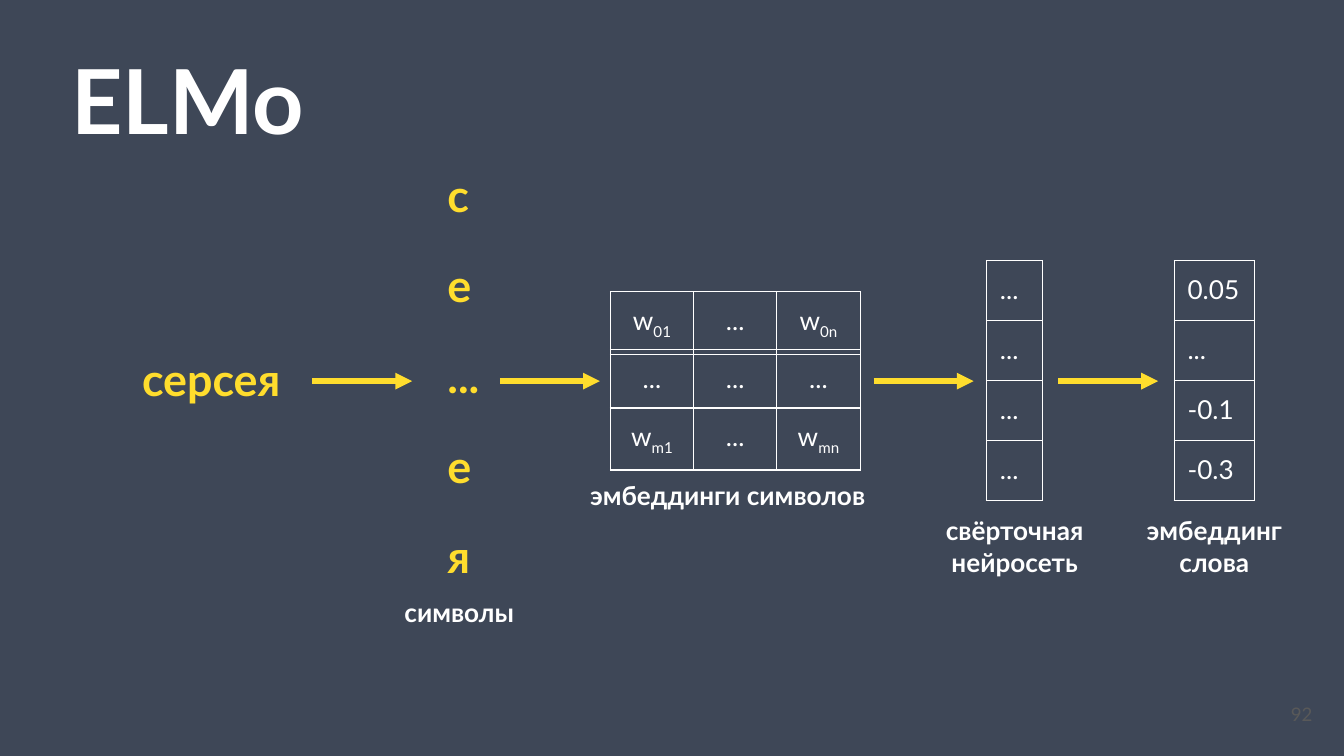
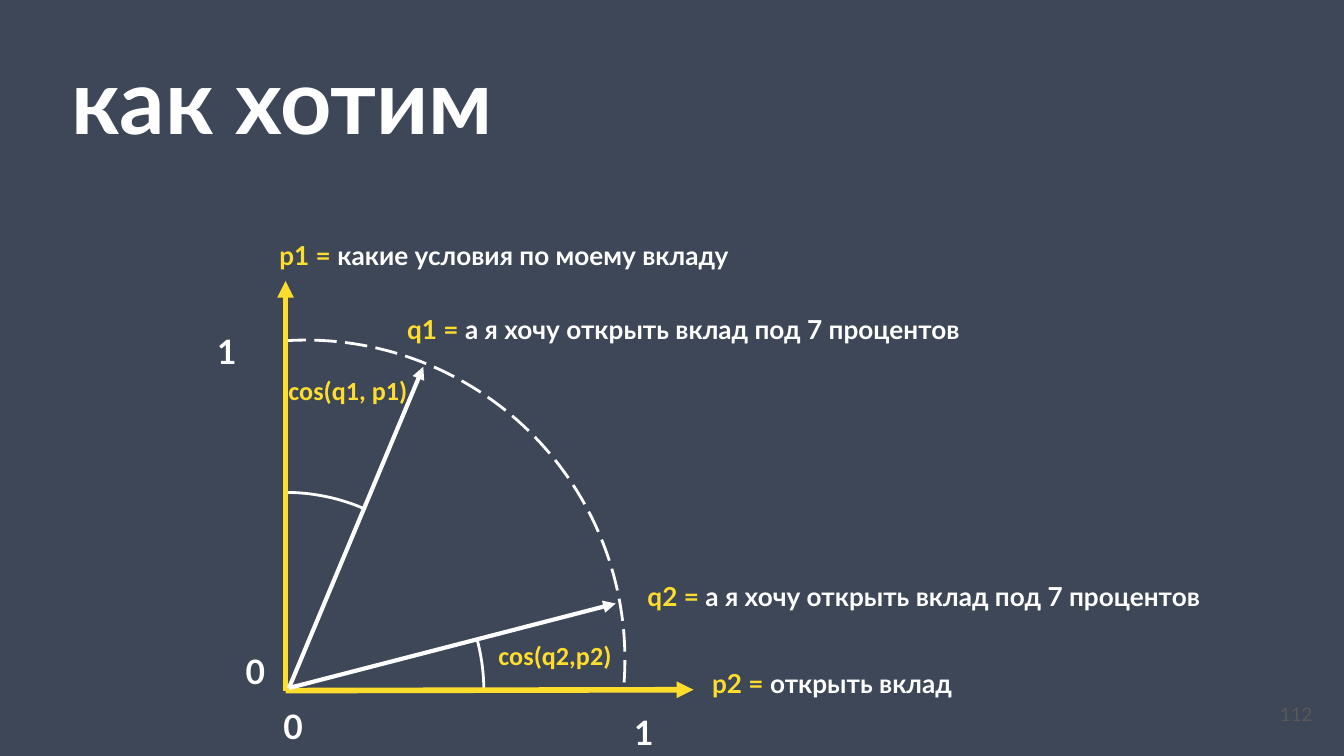
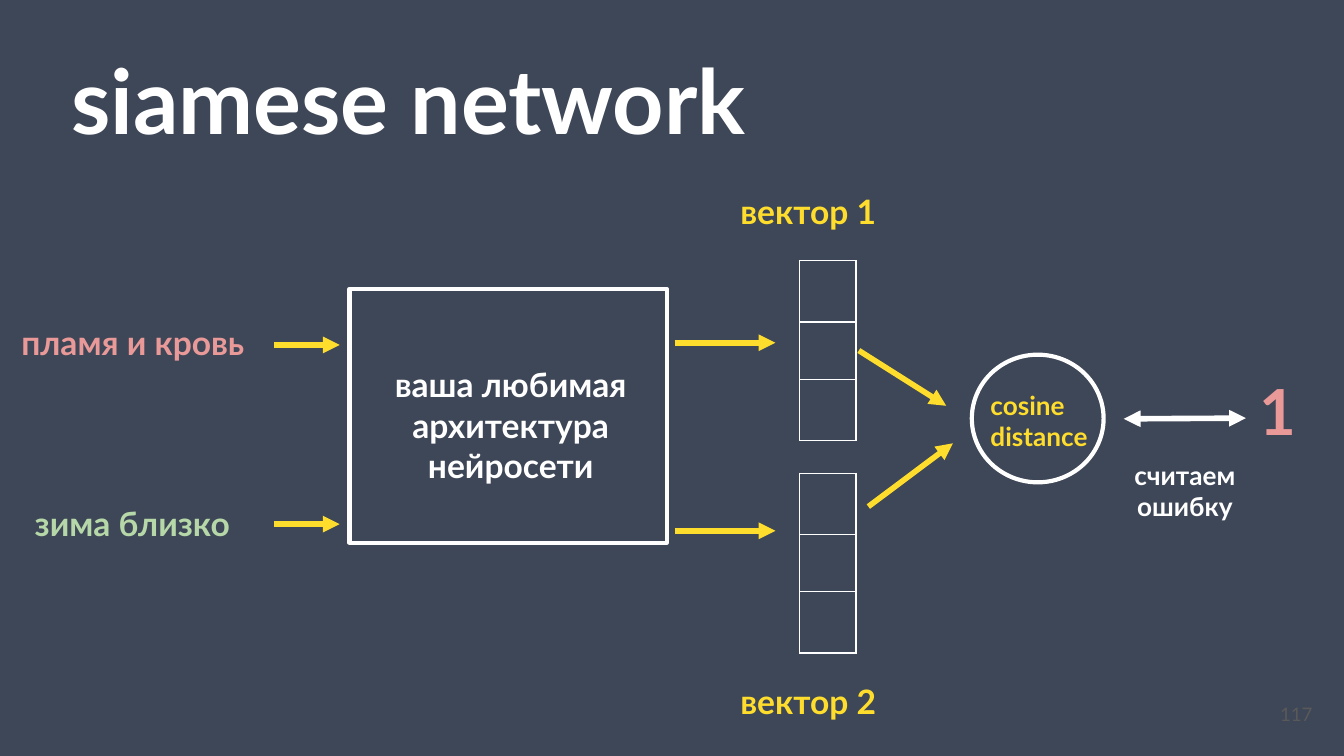
from math import cos, radians, sin

from lxml.etree import SubElement
from pptx import Presentation
from pptx.dml.color import RGBColor
from pptx.enum.dml import MSO_LINE
from pptx.enum.shapes import MSO_CONNECTOR, MSO_SHAPE
from pptx.enum.text import MSO_ANCHOR, MSO_AUTO_SIZE, PP_ALIGN
from pptx.oxml.ns import qn
from pptx.util import Pt

SLATE = RGBColor(0x3E, 0x47, 0x57)
WHITE = RGBColor(0xFF, 0xFF, 0xFF)
YELLOW = RGBColor(0xFF, 0xDD, 0x2D)
ROSE = RGBColor(0xEA, 0x99, 0x99)
GREEN = RGBColor(0xB6, 0xD7, 0xA8)
GREY = RGBColor(0x59, 0x59, 0x59)
LATO, CALIBRI = "Lato", "Calibri"
LEFT, CENTER, RIGHT = PP_ALIGN.LEFT, PP_ALIGN.CENTER, PP_ALIGN.RIGHT
WIDE_PAD, THIN_PAD = 7.2, 3.6


def points(*lengths):
    """Convert plain numbers to point lengths."""
    return [Pt(length) for length in lengths]


def add_span(para, text, color, size, font=LATO, bold=True):
    """Add one formatted run to a paragraph."""
    span = para.add_run()
    span.text = text
    span.font.name = font
    span.font.size = Pt(size)
    span.font.bold = bold
    span.font.color.rgb = color
    return span


def set_frame(frame, pad):
    """Give a text frame its wrapping, anchor and insets."""
    frame.word_wrap = True
    frame.auto_size = MSO_AUTO_SIZE.NONE
    frame.vertical_anchor = MSO_ANCHOR.TOP
    frame.margin_left = frame.margin_right = Pt(WIDE_PAD)
    frame.margin_top = frame.margin_bottom = Pt(pad)


def add_label(page, box, lines, size=14, align=LEFT, pad=THIN_PAD, font=LATO, bold=True):
    """Add a text box whose lines are lists of (text, colour) spans."""
    frame = page.shapes.add_textbox(*points(*box)).text_frame
    set_frame(frame, pad)
    for index, line in enumerate(lines):
        para = frame.add_paragraph() if index else frame.paragraphs[0]
        para.alignment = align
        for text, color in line:
            add_span(para, text, color, size, font, bold)


def add_arrow(page, start, end, color=YELLOW, width=3, ends=("tailEnd",)):
    """Add a straight arrow with triangle heads at the named ends."""
    arrow = page.shapes.add_connector(MSO_CONNECTOR.STRAIGHT, *points(*start, *end))
    arrow.line.color.rgb = color
    arrow.line.width = Pt(width)
    for name in ends:
        SubElement(arrow.get_or_add_ln(), qn(f"a:{name}"), type="triangle")
    SubElement(arrow.element.spPr, qn("a:effectLst"))


def add_outline(page, kind, box, width):
    """Add an unfilled shape with a white outline."""
    shape = page.shapes.add_shape(kind, *points(*box))
    shape.shadow.inherit = False
    shape.fill.background()
    shape.line.color.rgb = WHITE
    shape.line.width = Pt(width)
    return shape


def add_arc(page, center, radius, start, end):
    """Add a circular arc between two clockwise angles in degrees."""
    x, y = center
    box = (x - radius, y - radius, 2 * radius, 2 * radius)
    arc = add_outline(page, MSO_SHAPE.ARC, box, 1.5)
    arc.adjustments[0] = start * 0.6
    arc.adjustments[1] = end * 0.6
    return arc


def format_cell(cell, text, align, pad):
    """Fill one cell with text, where an underscore starts a subscript."""
    properties = cell._tc.get_or_add_tcPr()
    for side in ("lnL", "lnR", "lnT", "lnB"):
        border = SubElement(properties, qn(f"a:{side}"), w=str(Pt(0.75)))
        paint = SubElement(border, qn("a:solidFill"))
        SubElement(paint, qn("a:srgbClr"), val=str(WHITE))
    cell.fill.background()
    cell.margin_left = cell.margin_right = Pt(WIDE_PAD)
    cell.margin_top = cell.margin_bottom = Pt(pad)
    para = cell.text_frame.paragraphs[0]
    para.alignment = align
    base, _, subscript = text.partition("_")
    if base:
        add_span(para, base, WHITE, 14, bold=False)
    if subscript:
        span = add_span(para, subscript, WHITE, 14, bold=False)
        span._r.get_or_add_rPr().set("baseline", "-25000")


def add_grid(page, left, top, column_width, heights, rows, align=LEFT, pad=WIDE_PAD):
    """Add a white-ruled table with equal columns."""
    columns = len(rows[0])
    box = (left, top, column_width * columns, sum(heights))
    table = page.shapes.add_table(len(rows), columns, *points(*box)).table
    table.first_row = table.horz_banding = False
    for column in table.columns:
        column.width = Pt(column_width)
    for row, height, texts in zip(table.rows, heights, rows):
        row.height = Pt(height)
        for cell, text in zip(row.cells, texts):
            format_cell(cell, text, align, pad)


def add_page(deck, title, number, width=630):
    """Add a page with its title and page number."""
    page = deck.slides.add_slide(deck.slide_layouts[5])
    holder = page.shapes.title
    holder.left, holder.top, holder.width, holder.height = points(31, 16.6, width, 64)
    set_frame(holder.text_frame, WIDE_PAD)
    para = holder.text_frame.paragraphs[0]
    para.alignment = LEFT
    add_span(para, title, WHITE, 48)
    add_label(page, (666, 373, 44.2, 22), [[(number, GREY)]], 10, RIGHT, bold=False)
    return page


def add_letters(page, left, top):
    """Add the column of characters with its caption."""
    for index, letter in enumerate(("с", "е", "...", "е", "я")):
        box = (left, top + 48.3 * index, 35.3, 47.5)
        add_label(page, box, [[(letter, YELLOW)]], 24, pad=WIDE_PAD)
    box = (left - 23, top + 229.7, 80.6, 26.6)
    add_label(page, box, [[("символы", WHITE)]], pad=WIDE_PAD)


def add_matrix(page, left, top):
    """Add the character embedding rows with their caption."""
    rows = (("w_01", "...", "w_0n"), ("...", "...", "..."), ("w_m1", "...", "w_mn"))
    for index, row in enumerate(rows):
        add_grid(page, left, top + 31 * index, 44.6, [31], [row], CENTER)
    box = (left - 18, top + 93.6, 174.2, 33)
    add_label(page, box, [[("эмбеддинги символов", WHITE)]], pad=WIDE_PAD)


def add_vector(page, left, top, width, values, caption, caption_width):
    """Add a column of four values with a centred caption below."""
    add_grid(page, left, top, width, [32.1] * 4, [[value] for value in values])
    box = (left + (width - caption_width) / 2, top + 128.9, caption_width, 33)
    lines = [[(text, WHITE)] for text in caption]
    add_label(page, box, lines, align=CENTER, pad=WIDE_PAD)


def build_embedding(deck):
    """Build the page that turns a word into an embedding."""
    page = add_page(deck, "ELMo", "92", 167)
    add_label(page, (69, 181.4, 98, 45.4), [[("серсея", YELLOW)]], 24, pad=WIDE_PAD)
    add_letters(page, 232.6, 82.8)
    add_matrix(page, 327, 156.3)
    add_vector(page, 528.5, 139.7, 30.2, ["..."] * 4, ("свёрточная", "нейросеть"), 109.4)
    values = ("0.05", "...", "-0.1", "-0.3")
    add_vector(page, 629, 139.7, 43.2, values, ("эмбеддинг", "слова"), 103)
    for left in (167.2, 267.8, 468, 566.8):
        add_arrow(page, (left, 204.2), (left + 53.6, 204.2))


def add_plot(page, x, y):
    """Add the cosine plot around the given origin."""
    add_arc(page, (x + 10.8, y - 16.8), 171, 266, 5.8).line.dash_style = MSO_LINE.LONG_DASH
    for start, end in ((270, 293.3), (345.3, 0)):
        add_arc(page, (x, y), 106.2, start, end)
    add_arrow(page, (x, y), (x, y - 219.5))
    add_arrow(page, (x, y), (x + 218.5, y - 0.5))
    tail = (x + 1.8, y - 1.4)
    for angle, length in ((292.7, 186.5), (345.5, 180.8)):
        turn = radians(angle)
        tip = (tail[0] + length * cos(turn), tail[1] + length * sin(turn))
        add_arrow(page, tail, tip, WHITE, 2.25)
    ticks = (("1", 170.3, 4.4), ("1", -53, -200), ("0", -17.6, 0.8), ("0", -37.8, -28.7))
    for text, across, down in ticks:
        box = (x + across, y + down, 43.2, 23.8)
        add_label(page, box, [[(text, WHITE)]], 18, CENTER, WIDE_PAD)
    wish = "а я хочу открыть вклад под 7 процентов"
    phrases = (
        ("p1 = ", "какие условия по моему вкладу", -21.2, -245.4, 276.5, CENTER),
        ("q1 = ", wish, 58, -205.8, 365, LEFT),
        ("q2 = ", wish, 186.8, -62.6, 365, LEFT),
        ("p2 = ", "открыть вклад", 221.4, -15.8, 203.8, LEFT),
    )
    for name, text, across, down, width, align in phrases:
        box = (x + across, y + down, width, 31)
        add_label(page, box, [[(name, YELLOW), (text, WHITE)]], align=align)
    cosines = (("cos(q1, p1)", -11.2, -172.7, 89.3), ("cos(q2,p2)", 106.2, -30.9, 76.3))
    for text, across, down, width in cosines:
        box = (x + across, y + down, width, 23.8)
        add_label(page, box, [[(text, YELLOW)]], align=CENTER, font=CALIBRI)


def build_goal(deck):
    """Build the page with the desired cosine similarity."""
    page = add_page(deck, "как хотим", "112")
    add_plot(page, 153, 370)


def add_network(page, left, top):
    """Add the network box with its two inputs and outputs."""
    add_outline(page, MSO_SHAPE.RECTANGLE, (left, top, 170, 136), 2.25)
    words = [[("ваша любимая архитектура нейросети", WHITE)]]
    add_label(page, (left - 7.2, top + 36.7, 187.2, 22.3), words, 18, CENTER)
    inputs = (("пламя и кровь", ROSE, 4.3, 14.4, 30), ("зима близко", GREEN, 11.5, 110.9, 126))
    for text, color, text_left, down, arrow_down in inputs:
        add_label(page, (text_left, top + down, 171, 31), [[(text, color)]], 18)
        add_arrow(page, (left - 40.3, top + arrow_down), (left - 5.2, top + arrow_down))
    for down in (28.8, 129.6):
        add_arrow(page, (left + 174.2, top + down), (left + 228.2, top + down))


def add_pair(page, left, top):
    """Add both output vectors with their captions."""
    for index, caption_down in enumerate((-41, 221.7)):
        heights = (32.8, 30.7, 32.8)
        add_grid(page, left, top + 113.8 * index, 30.2, heights, [[""]] * 3, pad=THIN_PAD)
        box = (left - 38.9, top + caption_down, 182, 49.7)
        add_label(page, box, [[(f"вектор {index + 1}", YELLOW)]], 18)


def add_distance(page, left, top):
    """Add the distance circle and the comparison with the target."""
    add_outline(page, MSO_SHAPE.OVAL, (left, top, 70.6, 68.4), 2.25)
    add_label(page, (left + 2.9, top + 15.1, 95, 31), [[("cosine distance", YELLOW)]])
    add_arrow(page, (left - 60.5, top - 2.2), (left - 13.7, top + 27.4))
    add_arrow(page, (left - 55.4, top + 81.4), (left - 10.1, top + 47.5))
    ends = ("headEnd", "tailEnd")
    add_arrow(page, (left + 81.4, top + 34.4), (left + 146.9, top + 34), WHITE, ends=ends)
    add_label(page, (left + 146.9, top + 5.8, 46, 50), [[("1", ROSE)]], 34)
    lines = [[("считаем", WHITE)], [("ошибку", WHITE)]]
    add_label(page, (left + 38.2, top + 52.6, 152, 24.5), lines, align=CENTER)


def build_siamese(deck):
    """Build the page with the siamese network."""
    page = add_page(deck, "siamese network", "117")
    add_network(page, 187.2, 154.8)
    add_pair(page, 428.4, 139.7)
    add_distance(page, 520.6, 190)


def main():
    """Build and save the deck."""
    deck = Presentation()
    deck.slide_width, deck.slide_height = points(720, 405)
    backdrop = deck.slide_master.background.fill
    backdrop.solid()
    backdrop.fore_color.rgb = SLATE
    for build in (build_embedding, build_goal, build_siamese):
        build(deck)
    deck.save("out.pptx")


if __name__ == "__main__":
    main()
